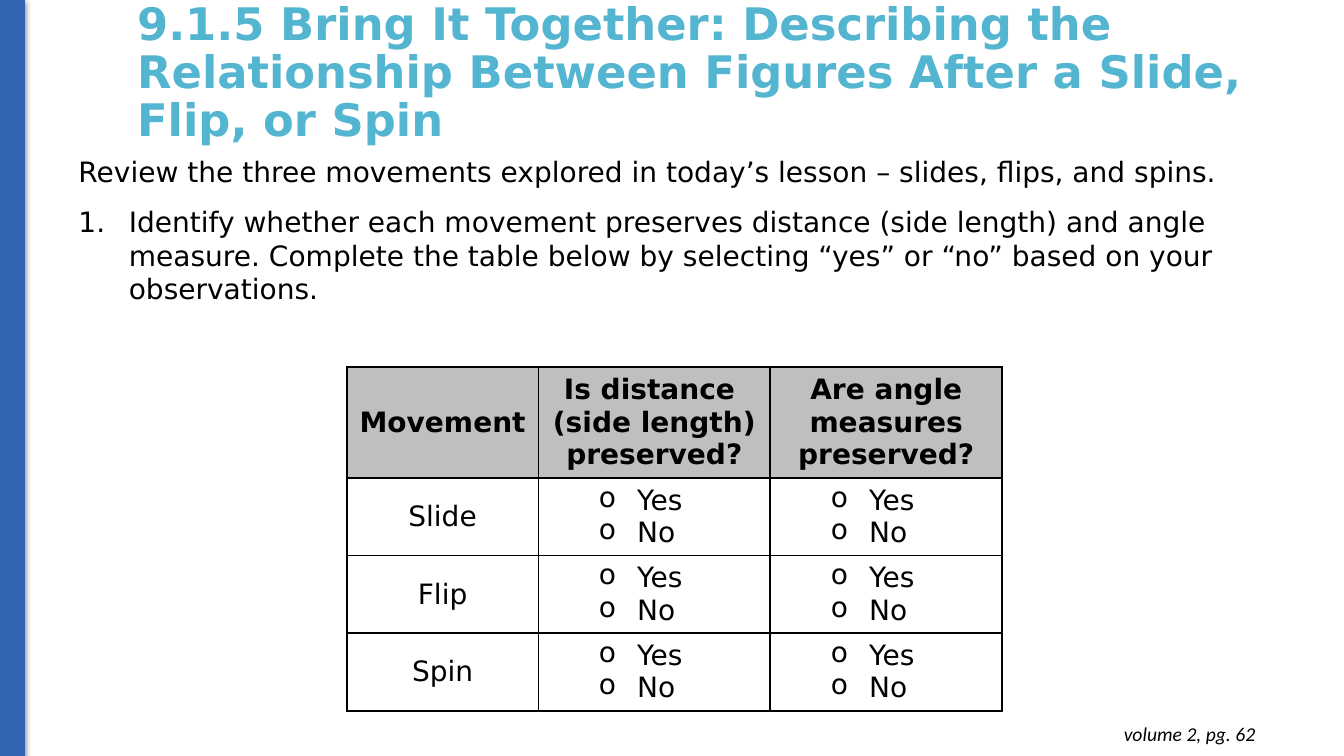
from dataclasses import dataclass

import lxml.etree
import pptx
import pptx.dml.color
import pptx.enum.shapes
import pptx.enum.text
import pptx.oxml.ns
import pptx.util

Inches = pptx.util.Inches
Align = pptx.enum.text.PP_ALIGN
Anchor = pptx.enum.text.MSO_ANCHOR
BODY_FONT = "DejaVu Sans"
BLACK, BAR_BLUE, TITLE_BLUE, HEADER_GRAY = "000000", "3465B0", "54B5D1", "BFBFBF"
QUESTIONS = ["Movement", "Is distance \n(side length) preserved?", "Are angle measures preserved?"]
MOVEMENTS = ["Slide", "Flip", "Spin"]
ANSWERS = ["Yes", "No"]
COLUMN_WIDTHS = [1.9, 2.3, 2.3]
ROW_HEIGHTS = [1.1, 0.77, 0.77, 0.77]


@dataclass
class Line:
    """A paragraph of text with its look."""

    text: str
    size: float = 20
    font: str = BODY_FONT
    color: str = BLACK
    bold: bool = False
    italic: bool = False
    align: Align = Align.LEFT
    space_after: float = 0
    line_spacing: float = 1.0
    indent: float = 0
    bullet: str = ""
    numbering: str = ""


def rgb(value: str) -> pptx.dml.color.RGBColor:
    """Turn a hex string into a colour."""
    return pptx.dml.color.RGBColor.from_string(value)


def add_xml(parent, tag: str, **attributes):
    """Append a DrawingML element and return it."""
    return lxml.etree.SubElement(
        parent, pptx.oxml.ns.qn(tag), {key: str(value) for key, value in attributes.items()}
    )


def write(frame, lines: list[Line]) -> None:
    """Fill a text frame with paragraphs."""
    frame.word_wrap = True
    for index, line in enumerate(lines):
        paragraph = frame.add_paragraph() if index else frame.paragraphs[0]
        paragraph.text = line.text
        paragraph.alignment = line.align
        paragraph.line_spacing = line.line_spacing
        paragraph.space_before = pptx.util.Pt(0)
        paragraph.space_after = pptx.util.Pt(line.space_after)
        if line.indent:
            properties = paragraph._p.get_or_add_pPr()
            properties.set("marL", str(Inches(line.indent)))
            properties.set("indent", str(-Inches(line.indent)))
            if line.numbering:
                add_xml(properties, "a:buAutoNum", type=line.numbering)
            else:
                add_xml(properties, "a:buChar", char=line.bullet)
        font = paragraph.font
        font.name, font.size = line.font, pptx.util.Pt(line.size)
        font.bold, font.italic = line.bold, line.italic
        font.color.rgb = rgb(line.color)


def add_text(slide, left: float, top: float, width: float, height: float,
             lines: list[Line], margin: float = 0.05) -> None:
    """Add a text box with equal top and bottom margins."""
    box = slide.shapes.add_textbox(Inches(left), Inches(top), Inches(width), Inches(height))
    box.text_frame.margin_top = box.text_frame.margin_bottom = Inches(margin)
    write(box.text_frame, lines)


def add_side_bar(slide) -> None:
    """Add the blue bar with its soft shadow along the left edge."""
    bar = slide.shapes.add_shape(
        pptx.enum.shapes.MSO_SHAPE.RECTANGLE, 0, 0, Inches(0.24), Inches(7.51)
    )
    bar.fill.solid()
    bar.fill.fore_color.rgb = rgb(BAR_BLUE)
    bar.line.color.rgb = rgb(BAR_BLUE)
    bar.line.width = pptx.util.Pt(0.75)
    bar.shadow.inherit = False
    effects = bar._element.spPr.find(pptx.oxml.ns.qn("a:effectLst"))
    shadow = add_xml(effects, "a:outerShdw", blurRad=pptx.util.Pt(4.5),
                     dist=pptx.util.Pt(1.5), dir=5400000, rotWithShape=0)
    add_xml(add_xml(shadow, "a:srgbClr", val=BLACK), "a:alpha", val=50000)


def add_title(slide, text: str) -> None:
    """Place and format the title."""
    title = slide.shapes.title
    title.left, title.top = Inches(1.26), Inches(0.01)
    title.width, title.height = Inches(11.63), Inches(1.45)
    frame = title.text_frame
    frame.auto_size = pptx.enum.text.MSO_AUTO_SIZE.NONE
    frame.vertical_anchor = Anchor.MIDDLE
    write(frame, [Line(text, 32, color=TITLE_BLUE, bold=True, line_spacing=0.9)])


def format_cell(cell, lines: list[Line], fill: str = "", left_margin: float = 0.1) -> None:
    """Write a table cell and give it black borders."""
    cell.vertical_anchor = Anchor.MIDDLE
    cell.margin_left = Inches(left_margin)
    write(cell.text_frame, lines)
    properties = cell._tc.get_or_add_tcPr()
    for side in ("a:lnL", "a:lnR", "a:lnT", "a:lnB"):
        border = add_xml(properties, side, w=pptx.util.Pt(1.5))
        add_xml(add_xml(border, "a:solidFill"), "a:srgbClr", val=BLACK)
    if fill:
        cell.fill.solid()
        cell.fill.fore_color.rgb = rgb(fill)
    else:
        cell.fill.background()


def add_movement_table(slide) -> None:
    """Add the table of movements and yes or no choices."""
    table = slide.shapes.add_table(
        len(ROW_HEIGHTS), len(COLUMN_WIDTHS), Inches(3.44), Inches(3.64),
        Inches(sum(COLUMN_WIDTHS)), Inches(sum(ROW_HEIGHTS)),
    ).table
    table.first_row = table.horz_banding = False
    for column, width in zip(table.columns, COLUMN_WIDTHS):
        column.width = Inches(width)
    for row, height in zip(table.rows, ROW_HEIGHTS):
        row.height = Inches(height)
    for index, question in enumerate(QUESTIONS):
        heading = Line(question, bold=True, align=Align.CENTER)
        format_cell(table.cell(0, index), [heading], HEADER_GRAY)
    choices = [Line(answer, indent=0.38, bullet="o") for answer in ANSWERS]
    for row, movement in enumerate(MOVEMENTS, start=1):
        format_cell(table.cell(row, 0), [Line(movement, align=Align.CENTER)])
        for column in range(1, len(QUESTIONS)):
            format_cell(table.cell(row, column), choices, left_margin=0.6)


def main() -> None:
    """Build the slide and save it."""
    deck = pptx.Presentation()
    deck.slide_width, deck.slide_height = Inches(13.33), Inches(7.5)
    slide = deck.slides.add_slide(deck.slide_layouts[5])
    add_side_bar(slide)
    add_title(slide, "9.1.5 Bring It Together: Describing the Relationship Between Figures "
                     "After a Slide, Flip, or Spin")
    add_text(slide, 0.68, 1.48, 11.97, 1.62, [
        Line("Review the three movements explored in today’s lesson – slides, flips, and spins.",
             space_after=12),
        Line("Identify whether each movement preserves distance (side length) and angle measure. "
             "Complete the table below by selecting “yes” or “no” based on your observations.",
             indent=0.5, numbering="arabicPeriod"),
    ])
    add_movement_table(slide)
    add_text(slide, 9.67, 7.06, 2.88, 0.44,
             [Line("volume 2, pg. 62", 14, "Calibri", italic=True, align=Align.RIGHT)], margin=0.1)
    deck.save("out.pptx")


if __name__ == "__main__":
    main()
